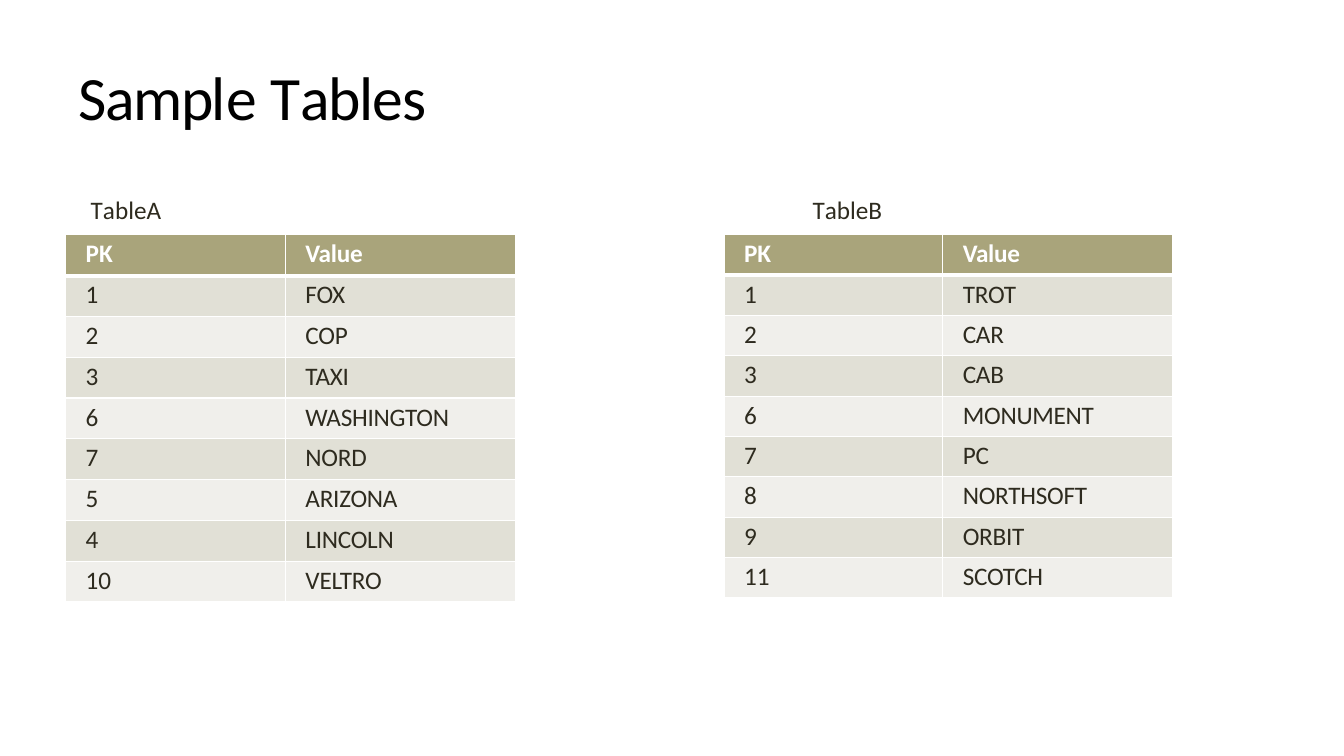
from pptx import Presentation
from pptx import util as u
from pptx.dml.color import RGBColor
from pptx.enum import text
from pptx.oxml import parse_xml
from pptx.oxml.ns import nsdecls

In = u.Inches
INK, WHITE, HEADER = "2E2B1F", "FFFFFF", "A9A47B"
BANDS = ["F0EFEB", "E1E0D6"]


def write(tf, runs, size, color, bold=False):
    """Fill the first paragraph with (text, letter spacing in points) runs."""
    p = tf.paragraphs[0]
    for words, spacing in runs:
        r = p.add_run()
        r.text = words
        font = {"name": "Calibri", "size": u.Pt(size), "bold": bold}
        for key, value in font.items():
            setattr(r.font, key, value)
        r.font.color.rgb = RGBColor.from_string(color)
        r.font._element.set("spc", str(round(spacing * 100)))


def add_text(left, top, width, height, runs, size, color):
    tf = s.shapes.add_textbox(In(left), In(top), In(width), In(height)).text_frame
    box = {"margin_left": 0, "margin_right": 0, "margin_top": In(0.02),
           "margin_bottom": 0, "word_wrap": True,
           "vertical_anchor": text.MSO_ANCHOR.MIDDLE}
    for key, value in box.items():
        setattr(tf, key, value)
    write(tf, runs, size, color)


prs = Presentation()
prs.slide_width, prs.slide_height = In(13.33), In(7.5)
s = prs.slides.add_slide(prs.slide_layouts[6])

# Title
title = [("Sampl", -1.1), ("e ", 0), ("T", -4.6), ("able", -1.1), ("s", 0)]
add_text(0.78, 0.05, 5.01, 1.79, title, 44, "000000")

# Tables: name, label left, table left, first column width, row height, rows
tables = [
    ("A", 0.9, 0.65, 2.18, 0.405,
     [("1", "FOX"), ("2", "COP"), ("3", "TAXI"), ("6", "WASHINGTON"),
      ("7", "NORD"), ("5", "ARIZONA"), ("4", "LINCOLN"), ("10", "VELTRO")]),
    ("B", 8.06, 7.18, 2.17, 0.4,
     [("1", "TROT"), ("2", "CAR"), ("3", "CAB"), ("6", "MONUMENT"),
      ("7", "PC"), ("8", "NORTHSOFT"), ("9", "ORBIT"), ("11", "SCOTCH")]),
]
for name, label_left, left, key_width, row_height, rows in tables:
    add_text(label_left, 1.91, 0.94, 0.31, [("T", -1.4), ("able" + name, 0)], 18, INK)

    rows = [("PK", "Value")] + rows
    widths = [key_width, 2.28]
    table = s.shapes.add_table(len(rows), 2, In(left), In(2.33), In(sum(widths)),
                               In(row_height * len(rows))).table
    for column, width in zip(table.columns, widths):
        column.width = In(width)

    for i, row in enumerate(rows):
        table.rows[i].height = In(row_height)
        for j, words in enumerate(row):
            cell = table.cell(i, j)
            margins = {"margin_left": In(0.2), "margin_right": 0,
                       "margin_top": In(0.04), "margin_bottom": 0}
            for key, value in margins.items():
                setattr(cell, key, value)

            # White borders, heavier under the header
            for side in ("L", "R", "T", "B"):
                heavy = (i, side) in [(0, "B"), (1, "T")]
                cell._tc.get_or_add_tcPr().append(parse_xml(
                    f'<a:ln{side} {nsdecls("a")} w="{u.Pt(3 if heavy else 0.96)}">'
                    f'<a:solidFill><a:srgbClr val="{WHITE}"/></a:solidFill></a:ln{side}>'))

            cell.fill.solid()
            cell.fill.fore_color.rgb = RGBColor.from_string(BANDS[i % 2] if i else HEADER)
            write(cell.text_frame, [(words, -0.2 * j)], 18, INK if i else WHITE, i == 0)

prs.save("out.pptx")
